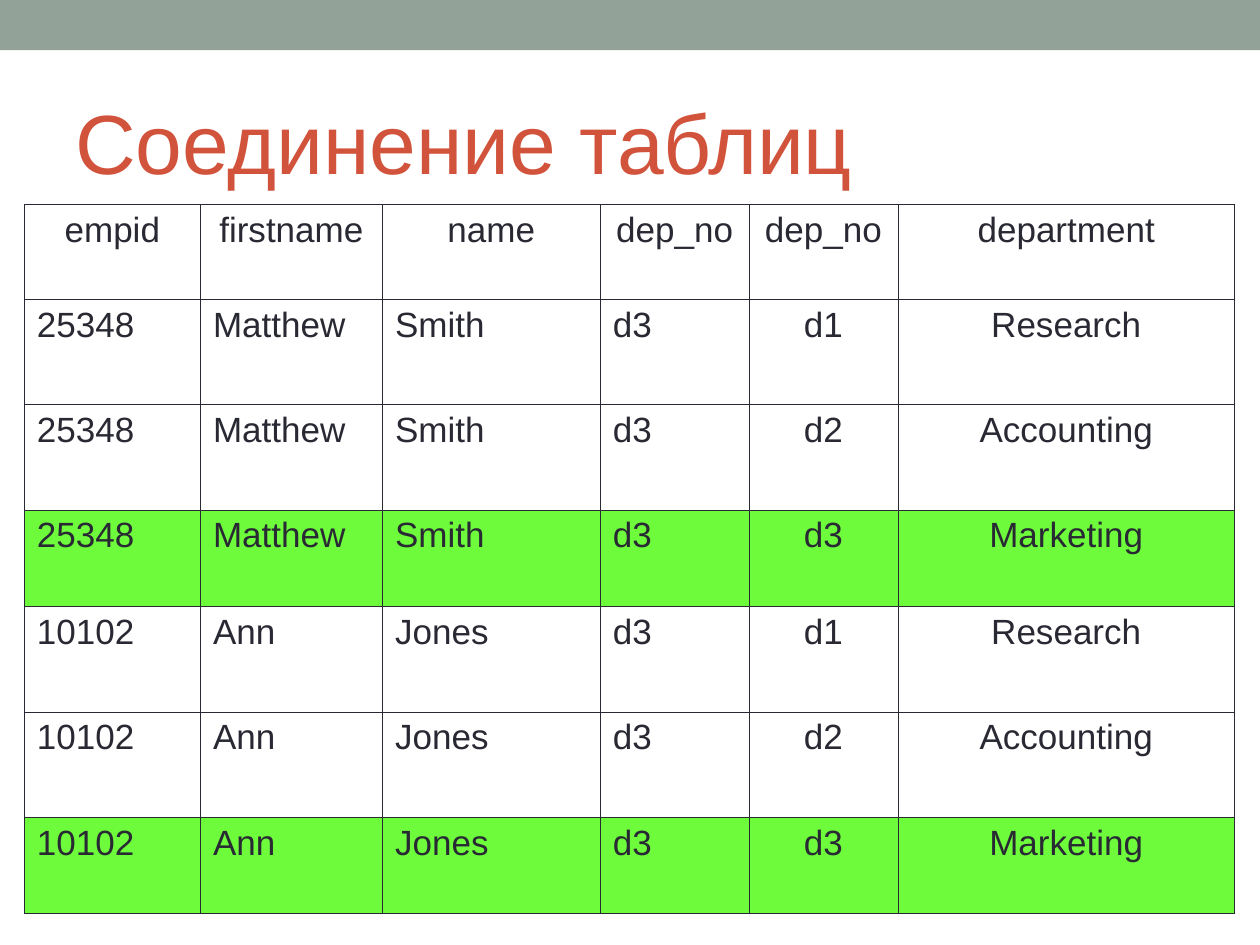
import itertools

import lxml.etree
import pptx
import pptx.dml.color
import pptx.enum.shapes
import pptx.enum.text
import pptx.oxml.ns
import pptx.util

Cm = pptx.util.Cm
Pt = pptx.util.Pt
ALIGN = pptx.enum.text.PP_ALIGN

HEADERS = ["empid", "firstname", "name", "dep_no", "dep_no", "department"]
EMPLOYEES = [("25348", "Matthew", "Smith", "d3"), ("10102", "Ann", "Jones", "d3")]
DEPARTMENTS = [("d1", "Research"), ("d2", "Accounting"), ("d3", "Marketing")]
COL_WIDTHS = [3.55, 3.67, 4.39, 3, 3, 6.79]
HEADER_HEIGHT, ROW_HEIGHT, MATCH_HEIGHT = 1.92, 2.12, 1.95


def rgb(value):
    return pptx.dml.color.RGBColor.from_string(value)


class SlideBuilder:
    """Holds the style and the current slide and adds elements to it."""

    font = "Arial"
    bar_color = "93A299"
    title_color = "D2533C"
    text_color = "292934"
    match_color = "6DFB3B"
    border_width = 0.45

    def __init__(self, prs):
        self.s = prs.slides.add_slide(prs.slide_layouts[6])

    def run(self, p, text, size, color):
        r = p.add_run()
        r.text = text
        r.font.name = self.font
        r.font.size = Pt(size)
        r.font.color.rgb = rgb(color)

    def bar(self, x, y, w, h):
        sp = self.s.shapes.add_shape(
            pptx.enum.shapes.MSO_SHAPE.RECTANGLE, Cm(x), Cm(y), Cm(w), Cm(h))
        sp.shadow.inherit = False
        sp.fill.solid()
        sp.fill.fore_color.rgb = rgb(self.bar_color)
        sp.line.fill.background()

    def title(self, text, x, y, w, h):
        tf = self.s.shapes.add_textbox(Cm(x), Cm(y), Cm(w), Cm(h)).text_frame
        tf.word_wrap = True
        tf.vertical_anchor = pptx.enum.text.MSO_ANCHOR.MIDDLE
        self.run(tf.paragraphs[0], text, 48, self.title_color)

    def borders(self, cell):
        tc_pr = cell._tc.get_or_add_tcPr()
        qn = pptx.oxml.ns.qn
        for side in ("a:lnL", "a:lnR", "a:lnT", "a:lnB"):
            ln = lxml.etree.SubElement(tc_pr, qn(side), w=str(int(Pt(self.border_width))))
            fill = lxml.etree.SubElement(ln, qn("a:solidFill"))
            lxml.etree.SubElement(fill, qn("a:srgbClr"), val=self.text_color)

    def cell(self, cell, text, align, matched):
        self.borders(cell)
        if matched:
            cell.fill.solid()
            cell.fill.fore_color.rgb = rgb(self.match_color)
        else:
            cell.fill.background()
        p = cell.text_frame.paragraphs[0]
        p.alignment = align
        p.space_before = Pt(5)
        self.run(p, text, 20, self.text_color)

    def join_table(self, x, y):
        joined = [e + d for e, d in itertools.product(EMPLOYEES, DEPARTMENTS)]
        rows = [HEADERS] + joined
        matches = [False] + [row[3] == row[4] for row in joined]
        heights = [HEADER_HEIGHT] + [MATCH_HEIGHT if m else ROW_HEIGHT for m in matches[1:]]
        table = self.s.shapes.add_table(
            len(rows), len(HEADERS), Cm(x), Cm(y),
            Cm(sum(COL_WIDTHS)), Cm(sum(heights))).table
        table.first_row = False
        table.horz_banding = False
        for column, width in zip(table.columns, COL_WIDTHS):
            column.width = Cm(width)
        for i, (row, height, matched) in enumerate(zip(rows, heights, matches)):
            table.rows[i].height = Cm(height)
            for j, text in enumerate(row):
                align = ALIGN.CENTER if i == 0 or j >= 4 else ALIGN.LEFT
                self.cell(table.cell(i, j), text, align, matched)


def main():
    prs = pptx.Presentation()
    prs.slide_width, prs.slide_height = Cm(25.4), Cm(19.05)
    slide = SlideBuilder(prs)
    slide.bar(0, 0, 25.4, 1.01)
    slide.title("Соединение таблиц", 1.27, 1.47, 22.86, 2.74)
    slide.join_table(0.49, 4.12)
    prs.save("out.pptx")


if __name__ == "__main__":
    main()
